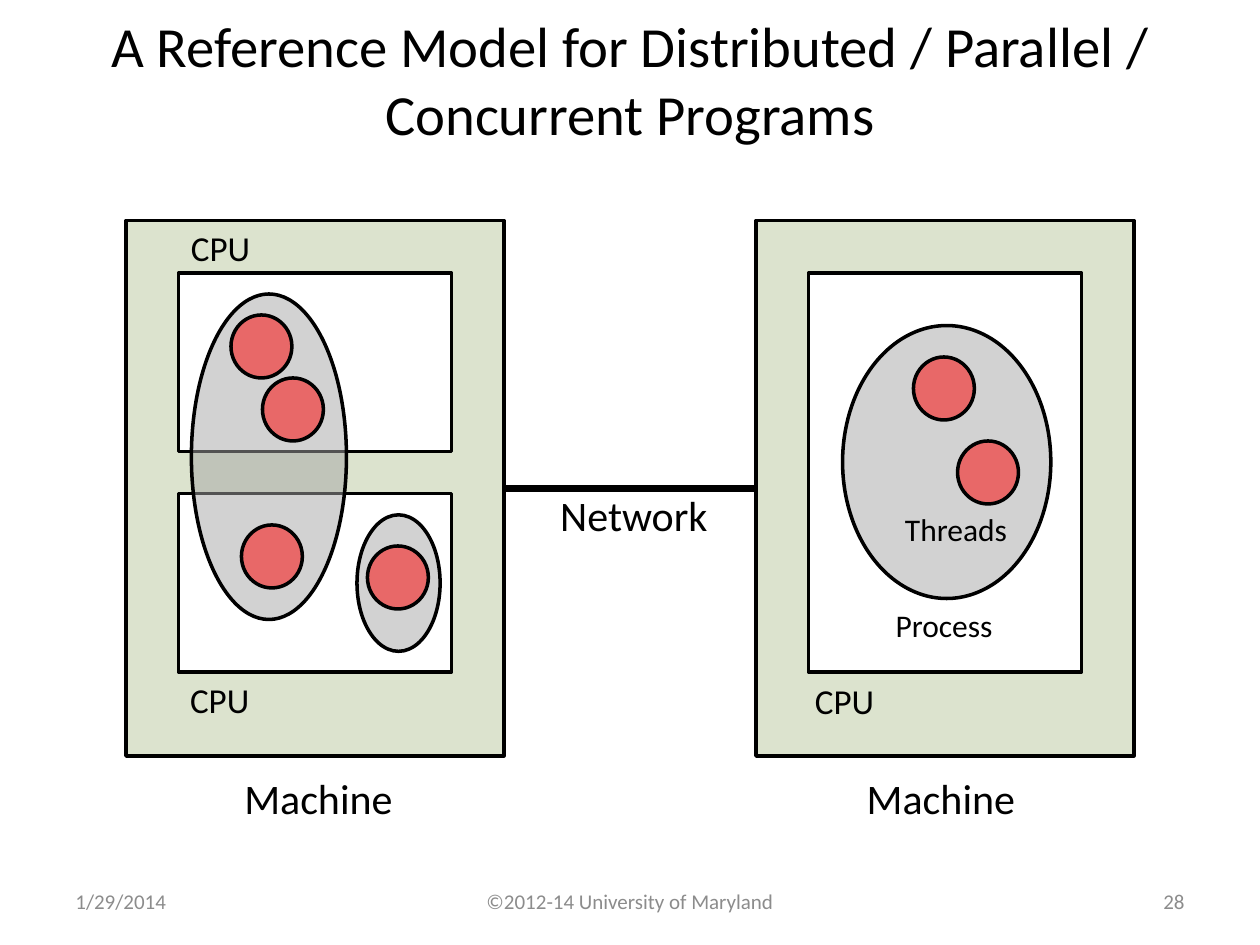
from lxml import etree
from pptx import Presentation
from pptx.dml.color import RGBColor
from pptx.enum.shapes import MSO_CONNECTOR, MSO_SHAPE
from pptx.enum.text import MSO_ANCHOR, MSO_AUTO_SIZE, PP_ALIGN
from pptx.oxml.ns import qn
from pptx.util import Pt

RECTANGLE, OVAL = MSO_SHAPE.RECTANGLE, MSO_SHAPE.OVAL
STRAIGHT = MSO_CONNECTOR.STRAIGHT
LEFT, CENTER, RIGHT = PP_ALIGN.LEFT, PP_ALIGN.CENTER, PP_ALIGN.RIGHT
TOP, MIDDLE = MSO_ANCHOR.TOP, MSO_ANCHOR.MIDDLE
FIT_SHAPE, NO_FIT = MSO_AUTO_SIZE.SHAPE_TO_FIT_TEXT, MSO_AUTO_SIZE.NONE

FONT = "Calibri"
COLORS = {
    "ink": "000000",
    "footer": "8C8C8C",
    "machine": "77933C",
    "cpu": "FFFFFF",
    "process": "A6A6A6",
    "thread": "FF0000",
}
MACHINE_TOP, MACHINE_WIDTH, MACHINE_HEIGHT = 126, 216, 306
MACHINE_LEFTS = (72, 432)
CPU_INSET, CPU_WIDTH = 30, 156
THREAD_WIDTH, THREAD_HEIGHT = 34.8, 36


def color(name):
    """Return the named colour."""
    return RGBColor.from_string(COLORS[name])


def write(frame, text, size, align, color_name="ink"):
    """Write one formatted line of text into a text frame."""
    para = frame.paragraphs[0]
    para.alignment = align
    span = para.add_run()
    span.text = text
    span.font.name = FONT
    span.font.size = Pt(size)
    span.font.color.rgb = color(color_name)


def add_title(slide, text):
    """Place and fill the title placeholder."""
    title = slide.shapes.title
    title.left, title.top, title.width, title.height = Pt(0), Pt(0), Pt(720), Pt(90)
    frame = title.text_frame
    frame.word_wrap = True
    frame.auto_size = NO_FIT
    frame.vertical_anchor = MIDDLE
    write(frame, text, 32.4, CENTER)


def add_label(slide, text, left, top, width, height, size, align=LEFT):
    """Add a one-line label that fits its text."""
    box = slide.shapes.add_textbox(Pt(left), Pt(top), Pt(width), Pt(height))
    frame = box.text_frame
    frame.word_wrap = False
    frame.auto_size = FIT_SHAPE
    frame.vertical_anchor = TOP
    write(frame, text, size, align)


def add_footer(slide, text, left, width, align):
    """Add one part of the footer row."""
    box = slide.shapes.add_textbox(Pt(left), Pt(500.5), Pt(width), Pt(28.75))
    frame = box.text_frame
    frame.word_wrap = True
    frame.vertical_anchor = MIDDLE
    write(frame, text, 12, align, "footer")


def add_outlined(slide, kind, name, left, top, width, height, opacity=100):
    """Add a black-outlined shape filled with the named colour."""
    shape = slide.shapes.add_shape(kind, Pt(left), Pt(top), Pt(width), Pt(height))
    shape.shadow.inherit = False
    shape.fill.solid()
    shape.fill.fore_color.rgb = color(name)
    shape.line.color.rgb = color("ink")
    shape.line.width = Pt(2)
    if opacity < 100:
        fill_color = shape.fill._xPr.find(qn("a:solidFill"))[0]
        etree.SubElement(fill_color, qn("a:alpha")).set("val", str(opacity * 1000))


def add_machine(slide, left, cpus):
    """Add a machine holding CPUs given as top and height."""
    add_outlined(slide, RECTANGLE, "machine", left, MACHINE_TOP,
                 MACHINE_WIDTH, MACHINE_HEIGHT, 25)
    for top, height in cpus:
        add_outlined(slide, RECTANGLE, "cpu", left + CPU_INSET, top, CPU_WIDTH, height)


def add_process(slide, bounds, threads):
    """Add a process oval with threads given as left and top."""
    add_outlined(slide, OVAL, "process", *bounds, 50)
    for left, top in threads:
        add_outlined(slide, OVAL, "thread", left, top, THREAD_WIDTH, THREAD_HEIGHT, 50)


def add_network(slide):
    """Join the two machines with a thick line."""
    start, end = MACHINE_LEFTS[0] + MACHINE_WIDTH, MACHINE_LEFTS[1]
    line = slide.shapes.add_connector(STRAIGHT, Pt(start), Pt(279), Pt(end), Pt(279))
    line.line.color.rgb = color("ink")
    line.line.width = Pt(4)
    etree.SubElement(line._element.spPr, qn("a:effectLst"))


def main():
    """Build and save the deck."""
    deck = Presentation()
    deck.slide_width, deck.slide_height = Pt(720), Pt(540)
    slide = deck.slides.add_slide(deck.slide_layouts[5])
    add_title(slide, "A Reference Model for Distributed / Parallel / Concurrent Programs")

    add_machine(slide, MACHINE_LEFTS[0], [(156, 102), (282, 102)])
    add_machine(slide, MACHINE_LEFTS[1], [(156, 228)])
    add_network(slide)

    add_process(slide, (481.5, 186, 119, 156), [(522, 204), (547.2, 252)])
    add_process(slide, (109.4, 168, 88.6, 186),
                [(132, 180), (150, 216), (138, 300)])
    add_process(slide, (204, 294.2, 47.5, 78), [(210, 312)])

    for left, top in ((102, 126), (101.5, 384), (458.6, 385)):
        add_label(slide, "CPU", left, top, 49, 31.5, 20)
    for left in (132, 487.7):
        add_label(slide, "Machine", left, 438, 100, 36, 24, CENTER)
    add_label(slide, "Network", 312.5, 276, 99.5, 36, 24, CENTER)
    add_label(slide, "Process", 504.7, 343, 70.6, 29, 18)
    add_label(slide, "Threads", 510, 288, 73.4, 29, 18)

    add_footer(slide, "1/29/2014", 36, 168, LEFT)
    add_footer(slide, "©2012-14 University of Maryland", 246, 228, CENTER)
    add_footer(slide, "28", 516, 168, RIGHT)
    deck.save("out.pptx")


main()
